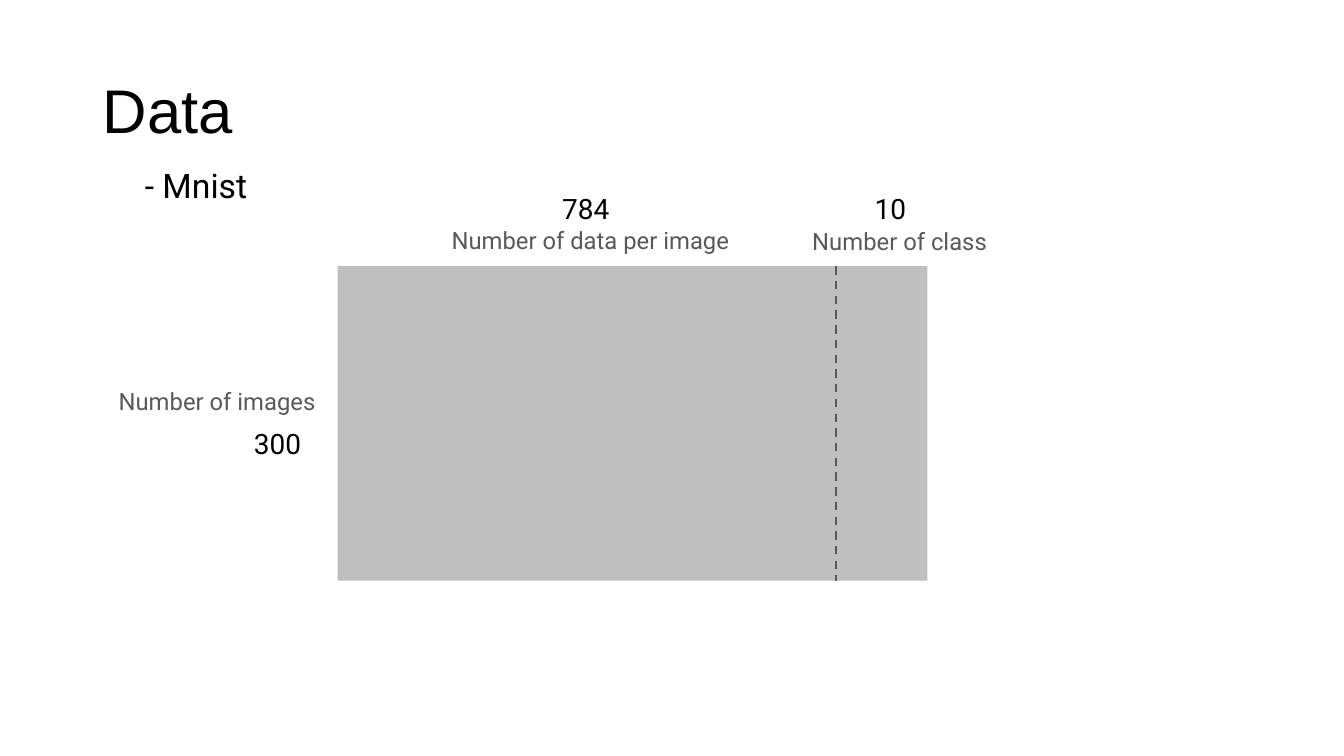
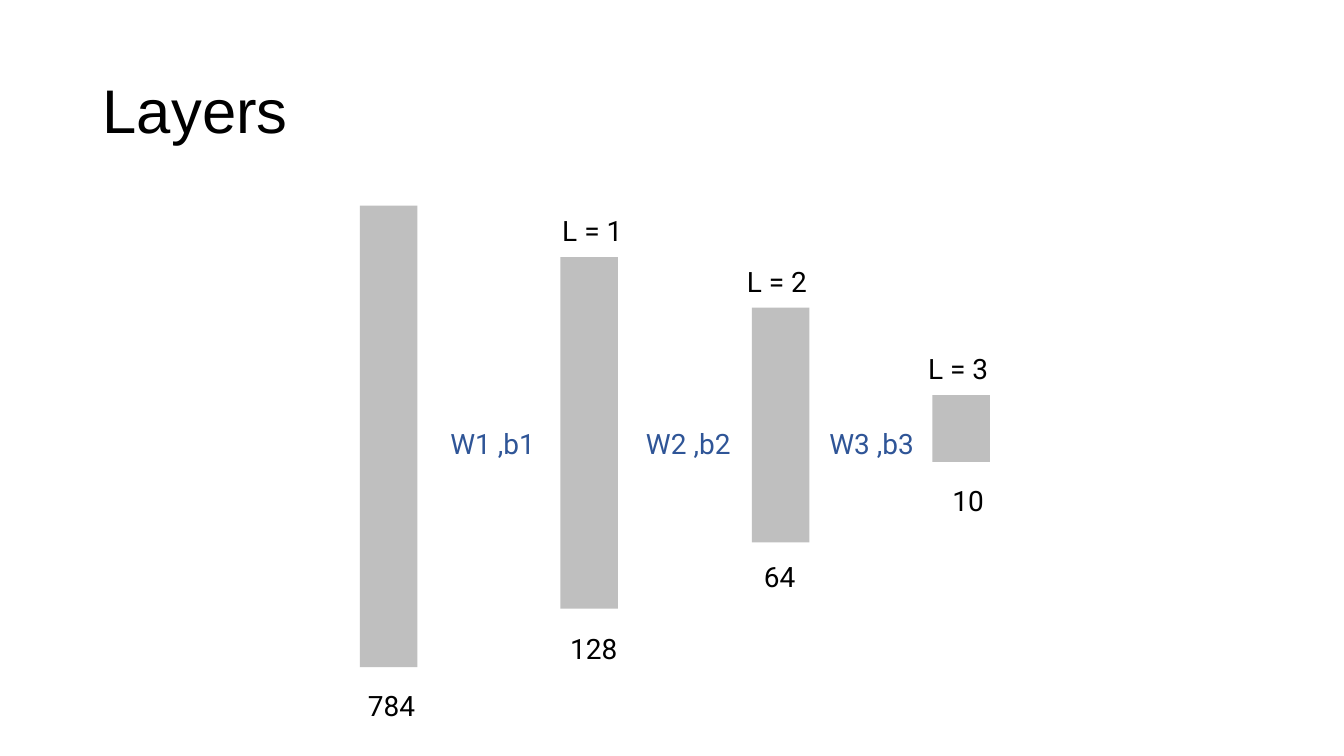
from lxml.etree import SubElement
from pptx import Presentation
from pptx.dml.color import RGBColor
from pptx.enum.dml import MSO_LINE
from pptx.enum.shapes import MSO_CONNECTOR, MSO_SHAPE
from pptx.enum.text import MSO_ANCHOR
from pptx.oxml.ns import qn
from pptx.util import Cm, Pt

BLACK, GREY, BLUE, BLOCK = "000000", "595959", "2F5597", "BFBFBF"
LABEL_WIDTH, LABEL_HEIGHT = 5.08, 1.68


def add_text(slide, text, left, top, width=LABEL_WIDTH, height=LABEL_HEIGHT,
             size=20, color=BLACK, font="Roboto", spacing=1.5, before=10):
    shape = slide.shapes.add_textbox(Cm(left), Cm(top), Cm(width), Cm(height))
    shape.text_frame.word_wrap = True
    shape.text_frame.text = text
    paragraph = shape.text_frame.paragraphs[0]
    paragraph.line_spacing = spacing
    paragraph.space_before = Pt(before)
    run = paragraph.runs[0]
    run.font.name = font
    run.font.size = Pt(size)
    run.font.color.rgb = RGBColor.from_string(color)
    return shape


def add_block(slide, left, top, width, height):
    shape = slide.shapes.add_shape(MSO_SHAPE.RECTANGLE, Cm(left), Cm(top), Cm(width), Cm(height))
    shape.shadow.inherit = False
    shape.fill.solid()
    shape.fill.fore_color.rgb = RGBColor.from_string(BLOCK)
    shape.line.fill.background()


presentation = Presentation()
presentation.slide_width, presentation.slide_height = Cm(33.87), Cm(19.05)

# Slides with their titles
slides = []
for title in ("Data", "Layers"):
    slide = presentation.slides.add_slide(presentation.slide_layouts[6])
    title_box = add_text(slide, title, 2.34, 1.02, 29.21, 3.68, size=44,
                         font="Arial", spacing=0.9, before=0)
    title_box.text_frame.vertical_anchor = MSO_ANCHOR.MIDDLE
    slides.append(slide)
data_slide, layers_slide = slides

# Data: matrix with a dashed line before the class columns
matrix_top, matrix_height, divider_left = 6.71, 7.92, 21.08
add_block(data_slide, 8.51, matrix_top, 14.86, matrix_height)
divider = data_slide.shapes.add_connector(
    MSO_CONNECTOR.STRAIGHT, Cm(divider_left), Cm(matrix_top),
    Cm(divider_left), Cm(matrix_top + matrix_height))
divider.line.color.rgb = RGBColor.from_string(GREY)
divider.line.width = Pt(1.5)
divider.line.dash_style = MSO_LINE.DASH
SubElement(divider._element.spPr, qn("a:effectLst"))

# Data: dataset name, sizes and captions
add_text(data_slide, "- Mnist", 3.4, 3.73, size=24.1, spacing=1.3)
for text, left, top in (("300", 6.15, 10.19), ("784", 13.92, 4.29), ("10", 21.79, 4.27)):
    add_text(data_slide, text, left, top)
for text, left, top, width, spacing in (
        ("Number of data per image", 11.13, 5.21, 10.67, 1.5),
        ("Number of class", 20.22, 5.31, LABEL_WIDTH, 1.4),
        ("Number of images", 2.74, 9.25, 6.43, 1.5)):
    add_text(data_slide, text, left, top, width, size=17, color=GREY, spacing=spacing)

# Layers: bar left, top and height; size label and its place; name and its left
layers = (
    (9.07, 5.18, 11.63, "784", 9.02, 16.79, None, None),
    (14.12, 6.48, 8.86, "128", 14.12, 15.37, "L = 1", 13.92),
    (18.95, 7.75, 5.92, "64", 19.0, 13.54, "L = 2", 18.57),
    (23.5, 9.96, 1.68, "10", 23.75, 11.63, "L = 3", 23.14),
)
for left, top, height, count, count_left, count_top, name, name_left in layers:
    add_block(layers_slide, left, top, 1.45, height)
    add_text(layers_slide, count, count_left, count_top)
    if name:
        add_text(layers_slide, name, name_left, top - 1.64)

# Layers: weights and biases between the bars
for number, left in enumerate((11.1, 16.03, 20.65), start=1):
    add_text(layers_slide, f"W{number} ,b{number}", left, 10.2, color=BLUE)

presentation.save("out.pptx")
